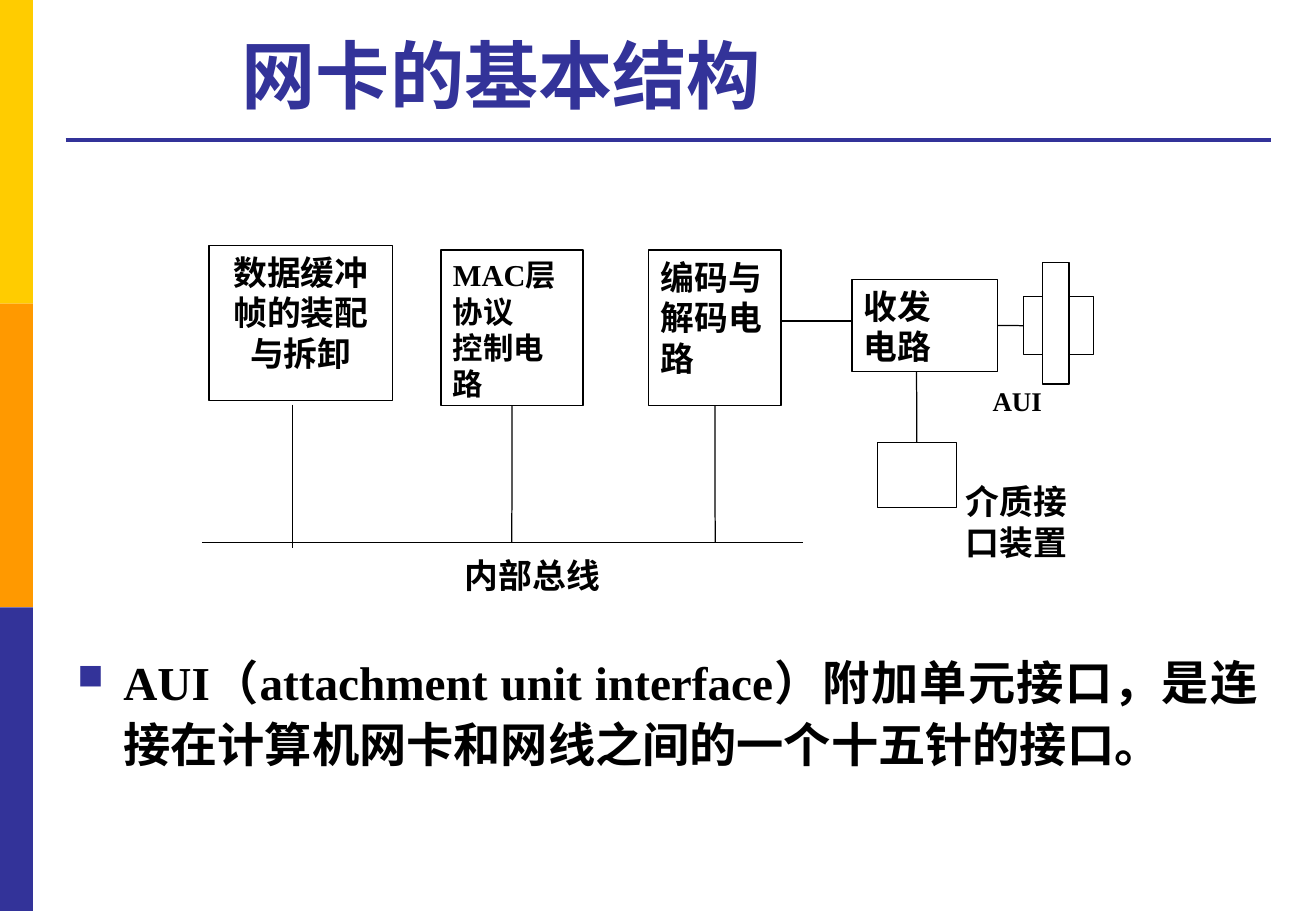
from lxml import etree
from pptx import Presentation
from pptx.dml.color import RGBColor
from pptx.enum.shapes import MSO_CONNECTOR, MSO_SHAPE
from pptx.enum.text import MSO_ANCHOR, PP_ALIGN
from pptx.oxml.ns import qn
from pptx.util import Cm, Pt

RECTANGLE = MSO_SHAPE.RECTANGLE
STRAIGHT = MSO_CONNECTOR.STRAIGHT
TOP, MIDDLE = MSO_ANCHOR.TOP, MSO_ANCHOR.MIDDLE
LEFT, CENTER, JUSTIFY = PP_ALIGN.LEFT, PP_ALIGN.CENTER, PP_ALIGN.JUSTIFY

COLORS = {
    "white": "FFFFFF",
    "black": "000000",
    "yellow": "FFCC00",
    "orange": "FF9900",
    "indigo": "333399",
}
SLIDE_WIDTH, SLIDE_HEIGHT = 27.51, 19.05
SIDEBAR_WIDTH = 0.69
SIDEBAR_COLORS = ["yellow", "orange", "indigo"]
THIN = 0.75
INSETS = (0.25, 0.13, 0.25, 0.13)
NO_INSETS = (0, 0, 0, 0)

TITLE = ("网卡的基本结构", (4.8, 0.33, 12.19, 2.41))
EXPLANATION = (
    "AUI（attachment unit interface）附加单元接口，是连接在计算机网卡和网线之间的一个十五针的接口。",
    (1.37, 13.41, 25.17, 2.72),
)
LABELS = [
    ("AUI", (20.75, 8.05, 2.41, 0.61), 16, JUSTIFY, NO_INSETS),
    ("内部总线", (9.47, 11.48, 4.09, 1.04), 20, LEFT, INSETS),
    ("介质接口装置", (19.94, 9.93, 2.95, 1.93), 20, LEFT, INSETS),
]
BLOCKS = {
    "buffer": ("数据缓冲帧的装配与拆卸", (4.37, 5.13, 3.84, 3.25), 20, CENTER),
    "mac": ("MAC层协议\n控制电路", (9.22, 5.23, 2.97, 3.25), 18, LEFT),
    "encoder": ("编码与解码电路", (13.56, 5.23, 2.77, 3.25), 20, LEFT),
    "transceiver": ("收发\n电路", (17.81, 5.84, 3.05, 1.93), 20, JUSTIFY),
    "plug": ("", (21.39, 6.2, 1.47, 1.22), 20, LEFT),
    "medium": ("", (18.34, 9.25, 1.65, 1.37), 20, LEFT),
    "plug bar": ("", (21.79, 5.49, 0.56, 2.54), 20, LEFT),
}
BUS_Y = 11.35
LINES = [
    ((1.37, 2.92), (26.57, 2.92), "indigo", 2.25, None, None),
    ((4.22, BUS_Y), (16.79, BUS_Y), "black", THIN, None, None),
    ((6.12, 8.46), (6.12, 11.46), "black", THIN, None, None),
    ((10.7, 8.48), (10.7, BUS_Y), "black", THIN, ("mac", 2), None),
    ((14.95, 8.48), (14.95, BUS_Y), "black", THIN, ("encoder", 2), None),
    ((16.33, 6.71), (17.81, 6.71), "black", THIN, None, None),
    ((20.86, 6.81), (21.39, 6.81), "black", THIN, ("transceiver", 3), ("plug", 1)),
    ((19.16, 7.77), (19.16, 9.25), "black", THIN, None, ("medium", 0)),
]


def color(name):
    return RGBColor.from_string(COLORS[name])


def set_values(target, values):
    for name, value in values.items():
        setattr(target, name, value)


def add_text(shape, text, size, alignment=LEFT, insets=INSETS, anchor=TOP,
             font_name="Times New Roman", font_color="black"):
    frame = shape.text_frame
    sides = ("margin_left", "margin_top", "margin_right", "margin_bottom")
    set_values(frame, {"word_wrap": True, "vertical_anchor": anchor,
                       **{side: Cm(inset) for side, inset in zip(sides, insets)}})
    frame.text = text
    for paragraph in frame.paragraphs:
        paragraph.alignment = alignment
        for run in paragraph.runs:
            set_values(run.font, {"name": font_name, "size": Pt(size), "bold": True})
            run.font.color.rgb = color(font_color)
    return frame.paragraphs[0]


def add_rectangle(slide, box, fill, line=None):
    shape = slide.shapes.add_shape(RECTANGLE, *map(Cm, box))
    shape.shadow.inherit = False
    shape.fill.solid()
    shape.fill.fore_color.rgb = color(fill)
    if line:
        shape.line.color.rgb = color(line)
        shape.line.width = Pt(THIN)
    else:
        shape.line.fill.background()
    return shape


def add_line(slide, blocks, start, end, line_color, width, begin_joint, end_joint):
    connector = slide.shapes.add_connector(STRAIGHT, *map(Cm, start + end))
    connector.line.color.rgb = color(line_color)
    connector.line.width = Pt(width)
    etree.SubElement(connector._element.spPr, qn("a:effectLst"))
    for joint, connect in ((begin_joint, connector.begin_connect),
                           (end_joint, connector.end_connect)):
        if joint:
            connect(blocks[joint[0]], joint[1])


def add_bullet(paragraph):
    properties = paragraph._p.get_or_add_pPr()
    properties.set("marL", str(Cm(0.96)))
    properties.set("indent", str(Cm(-0.96)))
    bullet_color = etree.SubElement(properties, qn("a:buClr"))
    etree.SubElement(bullet_color, qn("a:srgbClr"), val=COLORS["indigo"])
    etree.SubElement(properties, qn("a:buSzPct"), val="75000")
    etree.SubElement(properties, qn("a:buChar"), char="■")


def main():
    presentation = Presentation()
    set_values(presentation, {"slide_width": Cm(SLIDE_WIDTH),
                              "slide_height": Cm(SLIDE_HEIGHT)})
    slide = presentation.slides.add_slide(presentation.slide_layouts[6])

    bar_height = SLIDE_HEIGHT / len(SIDEBAR_COLORS)
    for index, fill in enumerate(SIDEBAR_COLORS):
        add_rectangle(slide, (0, index * bar_height, SIDEBAR_WIDTH, bar_height), fill)

    for text, box, size, alignment, insets in LABELS:
        add_text(add_rectangle(slide, box, "white", "white"), text, size, alignment, insets)

    blocks = {}
    for name, (text, box, size, alignment) in BLOCKS.items():
        blocks[name] = add_rectangle(slide, box, "white", "black")
        if text:
            add_text(blocks[name], text, size, alignment)

    for line in LINES:
        add_line(slide, blocks, *line)

    text, box = TITLE
    add_text(slide.shapes.add_textbox(*map(Cm, box)), text, 44, anchor=MIDDLE,
             font_name="Arial", font_color="indigo")

    text, box = EXPLANATION
    paragraph = add_text(slide.shapes.add_textbox(*map(Cm, box)), text, 28, JUSTIFY)
    paragraph.line_spacing = 1.1
    add_bullet(paragraph)

    presentation.save("out.pptx")


if __name__ == "__main__":
    main()
